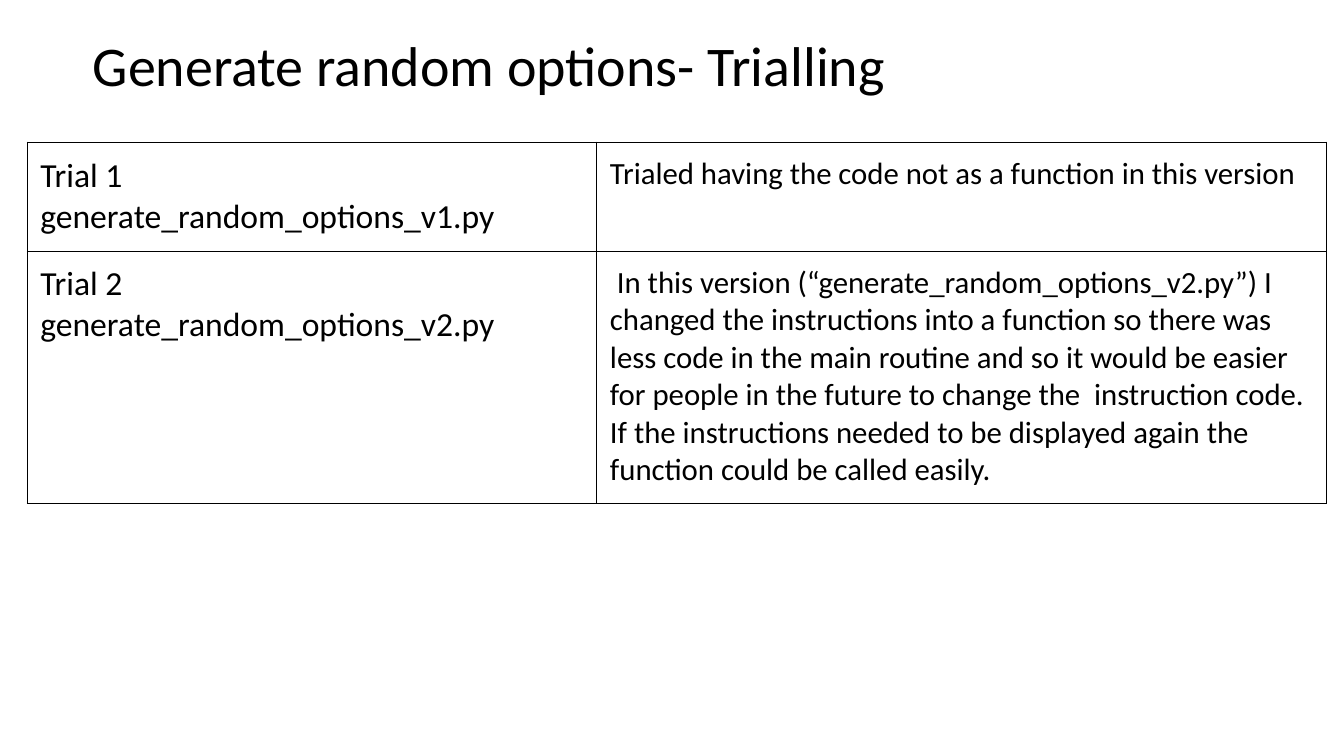
from lxml import etree
from pptx import Presentation
from pptx.dml.color import RGBColor
from pptx.enum.text import MSO_ANCHOR, MSO_AUTO_SIZE, PP_ALIGN
from pptx.oxml.ns import qn
from pptx.util import Inches, Pt

MIDDLE = MSO_ANCHOR.MIDDLE
TOP = MSO_ANCHOR.TOP
NO_FIT = MSO_AUTO_SIZE.NONE
LEFT = PP_ALIGN.LEFT

FONT = "Calibri"
BLACK = "000000"
TITLE_ONLY = 5
INSET = 0.13
COLS = [5.65, 7.24]
ROWS = [1.08, 2.5]
SIZES = [24, 22]
TRIALS = [
    (
        "Trial 1\ngenerate_random_options_v1.py",
        "Trialed having the code not as a function in this version",
    ),
    (
        "Trial 2\ngenerate_random_options_v2.py",
        " In this version (“generate_random_options_v2.py”) I changed the "
        "instructions into a function so there was less code in the main "
        "routine and so it would be easier for people in the future to change "
        "the  instruction code. If the instructions needed to be displayed "
        "again the function could be called easily.",
    ),
]


def color(code):
    return RGBColor.from_string(code)


def style(frame, size):
    for para in frame.paragraphs:
        para.alignment = LEFT
        for run in para.runs:
            run.font.name = FONT
            run.font.size = Pt(size)
            run.font.bold = False
            run.font.color.rgb = color(BLACK)


def border(cell, width=0.75):
    """Draw a solid line on all four sides of a cell."""
    props = cell._tc.get_or_add_tcPr()
    for side in ("lnL", "lnR", "lnT", "lnB"):
        line = etree.SubElement(props, qn(f"a:{side}"), w=str(Pt(width)))
        fill = etree.SubElement(line, qn("a:solidFill"))
        etree.SubElement(fill, qn("a:srgbClr"), val=BLACK)


def add_title(slide, text, left, top, width, height):
    title = slide.shapes.title
    title.left, title.top = Inches(left), Inches(top)
    title.width, title.height = Inches(width), Inches(height)
    frame = title.text_frame
    frame.text = text
    frame.word_wrap = True
    frame.auto_size = NO_FIT
    frame.vertical_anchor = MIDDLE
    frame.paragraphs[0].line_spacing = 0.9
    style(frame, 40)


def fill_cell(cell, text, size):
    cell.text_frame.text = text
    cell.margin_left = cell.margin_right = Inches(INSET)
    cell.margin_top = cell.margin_bottom = Inches(INSET)
    cell.vertical_anchor = TOP
    style(cell.text_frame, size)
    border(cell)
    cell.fill.background()


def add_trials(slide, left, top):
    frame = slide.shapes.add_table(
        len(ROWS), len(COLS), Inches(left), Inches(top),
        Inches(sum(COLS)), Inches(sum(ROWS)),
    )
    table = frame.table
    table.first_row = table.horz_banding = False
    for col, width in zip(table.columns, COLS):
        col.width = Inches(width)
    for row, height, texts in zip(table.rows, ROWS, TRIALS):
        row.height = Inches(height)
        for cell, text, size in zip(row.cells, texts, SIZES):
            fill_cell(cell, text, size)


def main():
    deck = Presentation()
    deck.slide_width, deck.slide_height = Inches(13.33), Inches(7.5)
    slide = deck.slides.add_slide(deck.slide_layouts[TITLE_ONLY])
    add_title(slide, "Generate random options- Trialling", 0.82, 0.24, 11.5, 0.88)
    add_trials(slide, 0.27, 1.41)
    deck.save("out.pptx")


if __name__ == "__main__":
    main()
